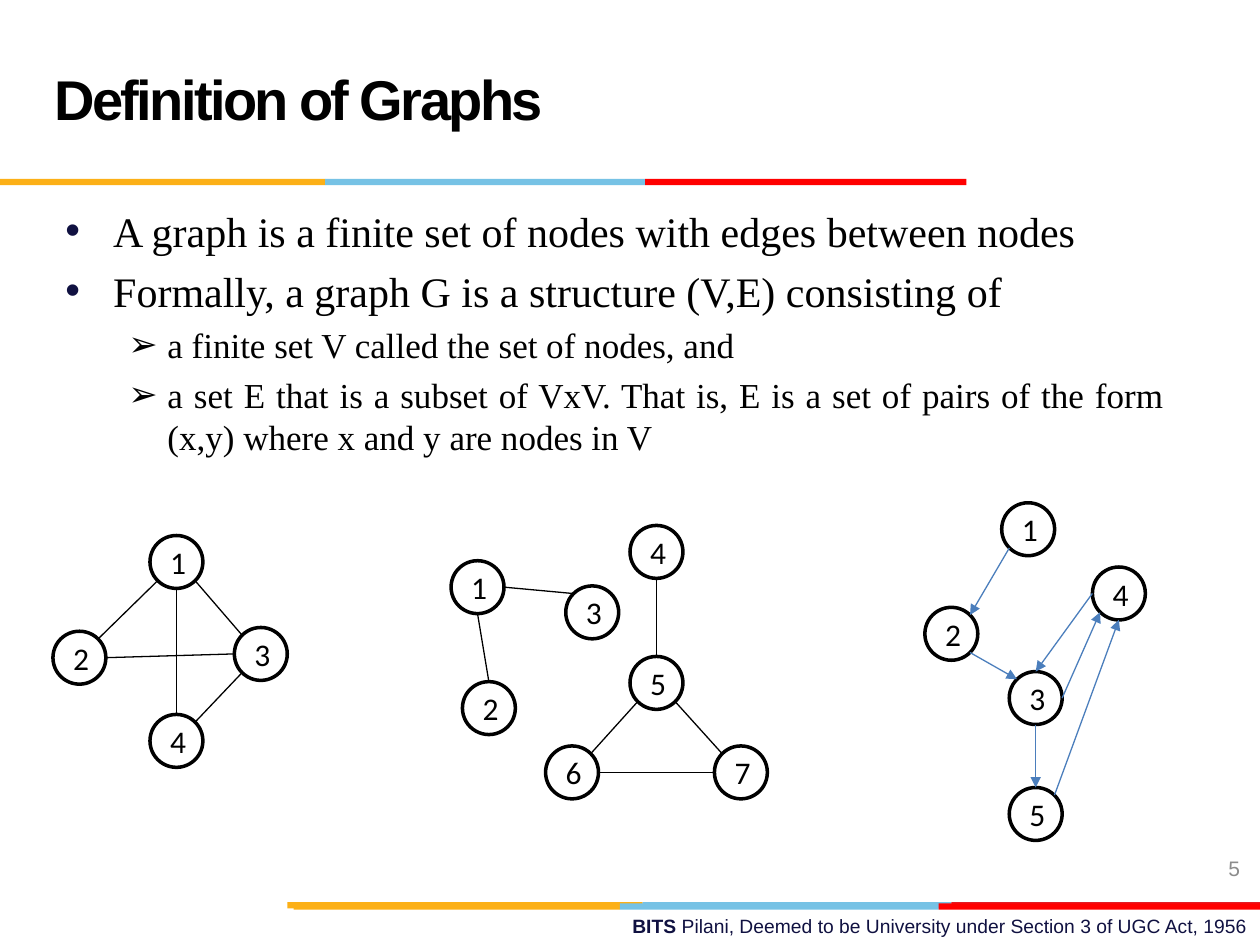
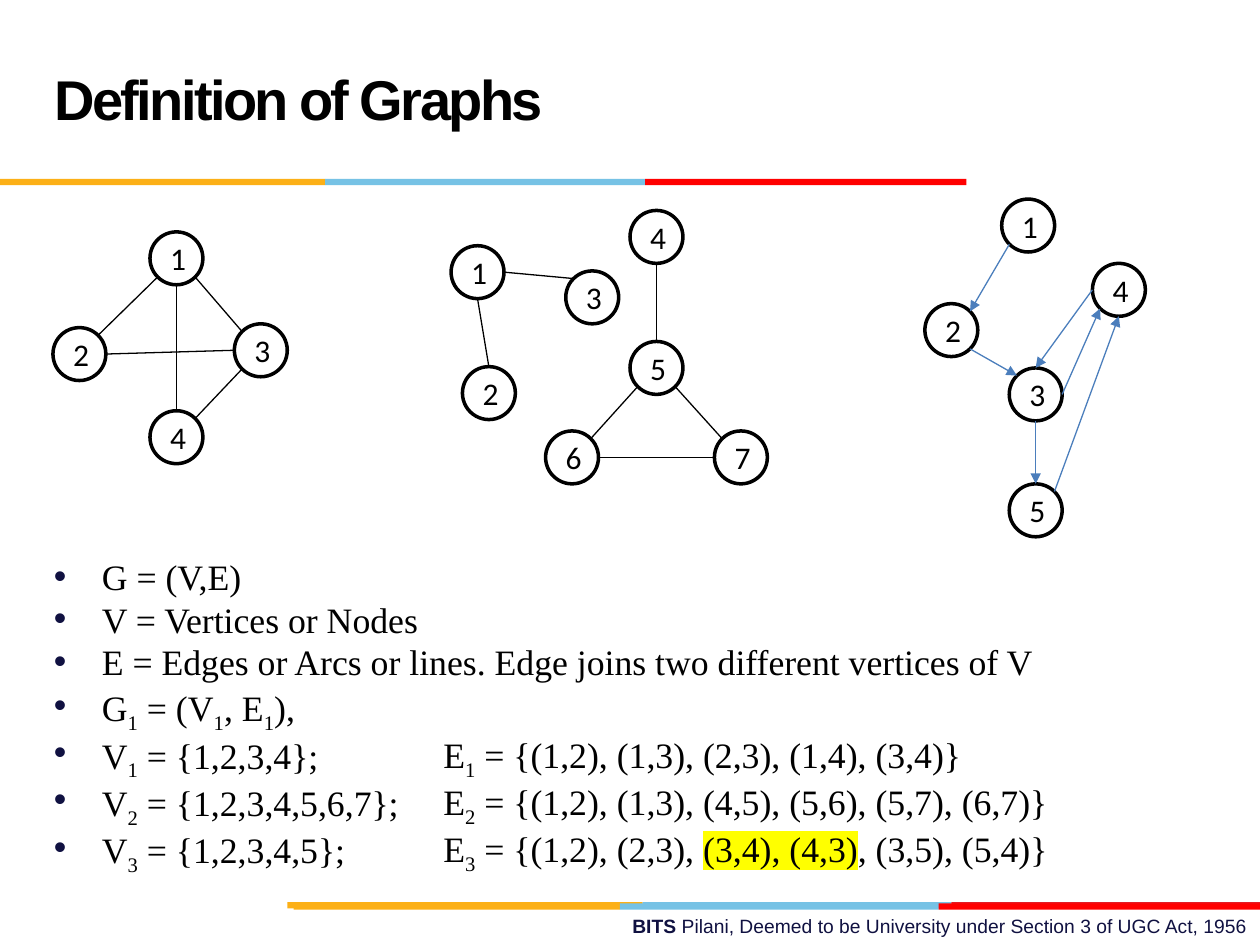
from lxml.etree import SubElement
from pptx import Presentation
from pptx.dml.color import RGBColor
from pptx.enum.shapes import MSO_CONNECTOR as Link, MSO_SHAPE as Preset
from pptx.enum.text import MSO_ANCHOR as Anchor, PP_ALIGN as Align
from pptx.oxml.ns import qn
from pptx.util import Inches, Pt

BLACK = RGBColor(0x00, 0x00, 0x00)
WHITE = RGBColor(0xFF, 0xFF, 0xFF)
NAVY = RGBColor(0x10, 0x11, 0x41)
GRAY = RGBColor(0x8C, 0x8C, 0x8C)
GOLD = RGBColor(0xFC, 0xB0, 0x17)
SKY = RGBColor(0x76, 0xC2, 0xE5)
RED = RGBColor(0xFF, 0x00, 0x00)
CRIMSON = RGBColor(0xE3, 0x1C, 0x24)
ARROW_BLUE = RGBColor(0x4B, 0x7E, 0xBC)
HIGHLIGHT = "FFFF00"

SANS, SERIF, NODE_FONT = "Arial", "Times New Roman", "Calibri"
TITLE = "Definition of Graphs"
FOOTER = [("BITS ", True),
          ("Pilani, Deemed to be University under Section 3 of UGC Act, 1956", False)]

STRIPES = [
    (7.16, (2.28, 5.1, 7.55, 10), (GOLD, SKY, CRIMSON)),
    (7.17, (2.33, 4.92, 7.45, 10), (GOLD, SKY, RED)),
    (1.42, (0, 2.58, 5.12, 7.67), (GOLD, SKY, RED)),
]
STRIPE_HEIGHT = 0.05

NODE_SIZE = 0.42
DIAGONAL = 0.71
SIDES = {
    "N": (0, -1), "S": (0, 1), "W": (-1, 0), "E": (1, 0),
    "NW": (-DIAGONAL, -DIAGONAL), "NE": (DIAGONAL, -DIAGONAL),
    "SW": (-DIAGONAL, DIAGONAL), "SE": (DIAGONAL, DIAGONAL),
}

CROSSED = {
    "nodes": {1: (1.19, 0), 2: (0.42, 0.76), 3: (1.86, 0.73), 4: (1.19, 1.42)},
    "edges": ["1 S 4 N", "2 E 3 W", "2 NE 1 SW", "3 NW 1 SE", "3 SW 4 NE"],
    "directed": False,
}
TWO_PARTS = {
    "nodes": {1: (3.58, 0.28), 2: (3.67, 1.24), 3: (4.49, 0.48), 4: (5, 0),
              5: (5, 1.04), 6: (4.33, 1.75), 7: (5.67, 1.75)},
    "edges": ["2 N 1 S", "3 NW 1 E", "6 NE 5 SW", "7 NW 5 SE", "5 N 4 S", "7 W 6 E"],
    "directed": False,
}
DIRECTED = {
    "nodes": {1: (7.95, 0), 2: (7.34, 0.83), 3: (8.01, 1.34), 4: (8.67, 0.51),
              5: (8.01, 2.26)},
    "edges": ["1 SW 2 NE", "2 SE 3 NW", "4 W 3 N", "3 E 4 SW", "3 S 5 N", "5 NE 4 S"],
    "directed": True,
}

DOT = {"bullet": "•", "margin": 0.38, "hang": 0.38, "color": NAVY}
CHEVRON = {"bullet": "➢", "margin": 0.81, "hang": 0.31, "color": BLACK}
PLAIN = {"bullet": None}

DEFINITION = [
    (DOT, 24, "A graph is a finite set of nodes with edges between nodes"),
    (DOT, 24, "Formally, a graph G is a structure (V,E) consisting of"),
    (CHEVRON, 20, "a finite set V called the set of nodes, and"),
    (CHEVRON, 20, "a set E that is a subset of VxV. That is, E is a set of pairs "
                  "of the form (x,y) where x and y are nodes in V"),
]
# A "_" lowers the next character and "|" bounds a highlight.
NOTATION = [(DOT, 20.4, text) for text in (
    "G = (V,E)",
    "V = Vertices or Nodes",
    "E = Edges or Arcs or lines. Edge joins two different vertices of V",
    "G_1 = (V_1, E_1),",
    "V_1 = {1,2,3,4};",
    "V_2 = {1,2,3,4,5,6,7};",
    "V_3 = {1,2,3,4,5};",
)]
EDGE_SETS = [(PLAIN, 20.4, text) for text in (
    "E_1 = {(1,2), (1,3), (2,3), (1,4), (3,4)}",
    "E_2 = {(1,2), (1,3), (4,5), (5,6), (5,7), (6,7)}",
    "E_3 = {(1,2), (2,3), |(3,4), (4,3)|, (3,5), (5,4)}",
)]

SLIDES = [
    {"graphs": [(CROSSED, 4.25), (DIRECTED, 3.99), (TWO_PARTS, 4.17)],
     "texts": [((0.42, 1.58, 8.92, 2.5), DEFINITION, 1, Align.JUSTIFY)],
     "number": "5"},
    {"graphs": [(CROSSED, 1.84), (DIRECTED, 1.58), (TWO_PARTS, 1.67)],
     "texts": [((0.33, 4.42, 8.92, 2.5), NOTATION, 0.8, Align.JUSTIFY),
               ((3.42, 5.8, 5.83, 1.12), EDGE_SETS, 0.8, Align.LEFT)],
     "number": None},
]


def add_span(para, text, font, size, color=BLACK, bold=False):
    span = para.add_run()
    span.text = text
    span.font.name = font
    span.font.size = Pt(size)
    span.font.bold = bold
    span.font.color.rgb = color
    return span


def add_box(page, place, anchor=Anchor.TOP):
    box = page.shapes.add_textbox(*map(Inches, place))
    box.text_frame.word_wrap = True
    box.text_frame.vertical_anchor = anchor
    return box.text_frame


def add_bullet(para, style):
    props = para._p.get_or_add_pPr()
    props.set("marL", str(Inches(style["margin"])))
    props.set("indent", str(-Inches(style["hang"])))
    color = SubElement(props, qn("a:buClr"))
    SubElement(color, qn("a:srgbClr"), val=str(style["color"]))
    SubElement(props, qn("a:buFont"), typeface=SANS)
    SubElement(props, qn("a:buChar"), char=style["bullet"])


def highlight(span):
    props = span._r.get_or_add_rPr()
    mark = SubElement(props, qn("a:highlight"))
    SubElement(mark, qn("a:srgbClr"), val=HIGHLIGHT)
    props.find(qn("a:solidFill")).addnext(mark)


def split_marks(text):
    for index, part in enumerate(text.split("|")):
        first, *rest = part.split("_")
        pieces = [(first, False)]
        for piece in rest:
            pieces += [(piece[0], True), (piece[1:], False)]
        for piece, lowered in pieces:
            if piece:
                yield piece, lowered, index % 2 == 1


def add_paragraphs(page, place, lines, spacing, align):
    frame = add_box(page, place)
    for index, (style, size, text) in enumerate(lines):
        para = frame.add_paragraph() if index else frame.paragraphs[0]
        if style["bullet"]:
            add_bullet(para, style)
        para.alignment = align
        para.line_spacing = spacing
        para.space_before = Pt(round(size * 0.23, 1) if index else 0)
        for piece, lowered, marked in split_marks(text):
            span = add_span(para, piece, SERIF, size)
            if lowered:
                span._r.get_or_add_rPr().set("baseline", "-25000")
            if marked:
                highlight(span)


def add_stripes(page):
    for top, stops, colors in STRIPES:
        for left, right, color in zip(stops, stops[1:], colors):
            stripe = page.shapes.add_shape(
                Preset.RECTANGLE, Inches(left), Inches(top),
                Inches(right - left), Inches(STRIPE_HEIGHT))
            stripe.shadow.inherit = False
            stripe.fill.solid()
            stripe.fill.fore_color.rgb = color
            stripe.line.fill.background()


def add_frame(page):
    add_stripes(page)
    para = add_box(page, (3.58, 7.21, 6.42, 0.29)).paragraphs[0]
    para.alignment = Align.RIGHT
    for text, bold in FOOTER:
        add_span(para, text, SANS, 11, NAVY, bold)

    title = page.shapes.title
    title.left, title.top, title.width, title.height = map(Inches, (0.33, 0.17, 7.92, 1.25))
    title.text_frame.vertical_anchor = Anchor.MIDDLE
    para = title.text_frame.paragraphs[0]
    para.alignment = Align.LEFT
    para.line_spacing = Pt(36)
    span = add_span(para, TITLE, SANS, 32, bold=True)
    span._r.get_or_add_rPr().set("spc", "-150")


def add_node(group, label, left, top):
    node = group.shapes.add_shape(
        Preset.OVAL, Inches(left), Inches(top), Inches(NODE_SIZE), Inches(NODE_SIZE))
    node.shadow.inherit = False
    node.fill.solid()
    node.fill.fore_color.rgb = WHITE
    node.line.color.rgb = BLACK
    node.line.width = Pt(2)
    node.text_frame.word_wrap = True
    node.text_frame.vertical_anchor = Anchor.MIDDLE
    para = node.text_frame.paragraphs[0]
    para.alignment = Align.CENTER
    add_span(para, str(label), NODE_FONT, 18)


def add_edge(group, start, end, directed):
    edge = group.shapes.add_connector(Link.STRAIGHT, *map(Inches, start + end))
    edge.line.color.rgb = ARROW_BLUE if directed else BLACK
    edge.line.width = Pt(0.75)
    if directed:
        SubElement(edge.line._get_or_add_ln(), qn("a:tailEnd"), type="triangle")
    SubElement(edge._element.spPr, qn("a:effectLst"))


def add_graph(page, graph, top):
    group = page.shapes.add_group_shape()
    radius = NODE_SIZE / 2

    def side_point(label, side):
        left, drop = graph["nodes"][int(label)]
        across, down = SIDES[side]
        return left + radius * (1 + across), top + drop + radius * (1 + down)

    for label, (left, drop) in graph["nodes"].items():
        add_node(group, label, left, top + drop)
    for edge in graph["edges"]:
        source, leaving, target, entering = edge.split()
        add_edge(group, side_point(source, leaving), side_point(target, entering),
                 graph["directed"])


def main():
    deck = Presentation()
    deck.slide_width, deck.slide_height = Inches(10), Inches(7.5)
    for content in SLIDES:
        page = deck.slides.add_slide(deck.slide_layouts[5])
        add_frame(page)
        for text in content["texts"]:
            add_paragraphs(page, *text)
        for graph, top in content["graphs"]:
            add_graph(page, graph, top)
        if content["number"]:
            para = add_box(page, (7.61, 6.69, 2.33, 0.4), Anchor.MIDDLE).paragraphs[0]
            para.alignment = Align.RIGHT
            add_span(para, content["number"], SANS, 12, GRAY)
    deck.save("out.pptx")


if __name__ == "__main__":
    main()
